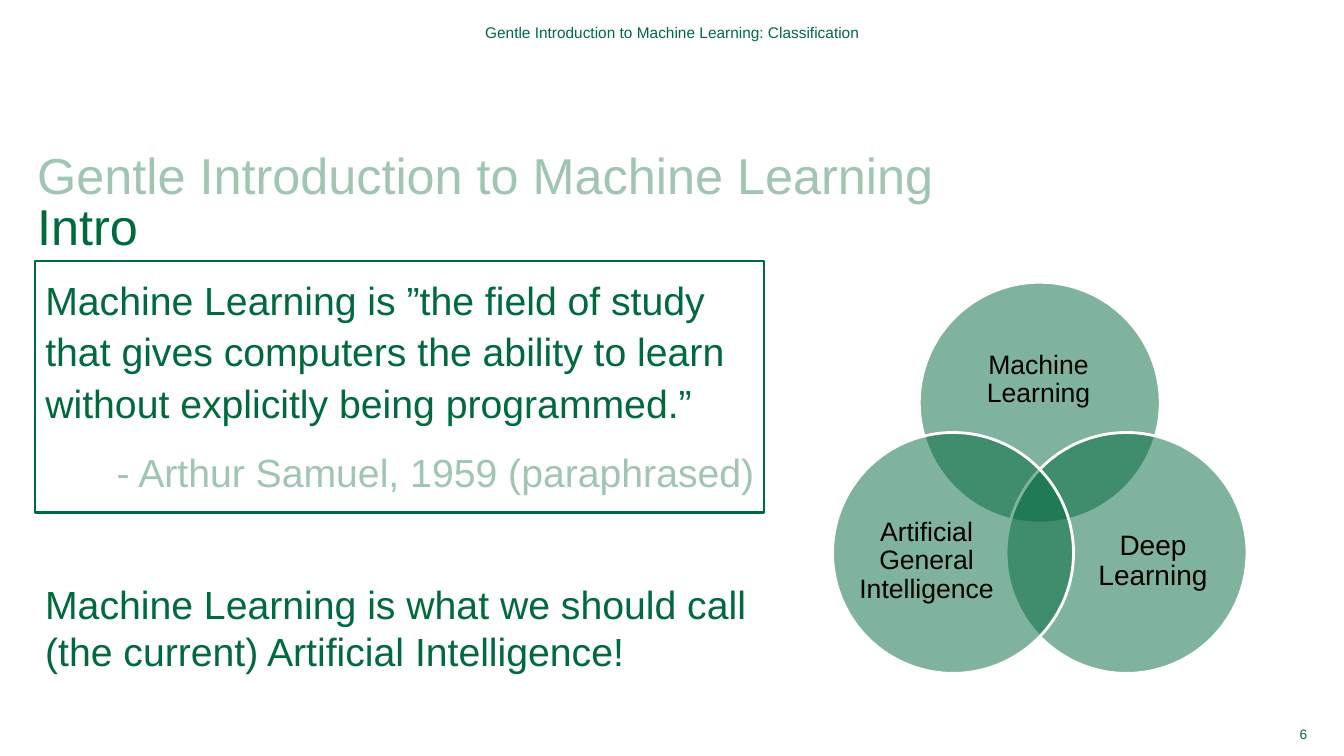
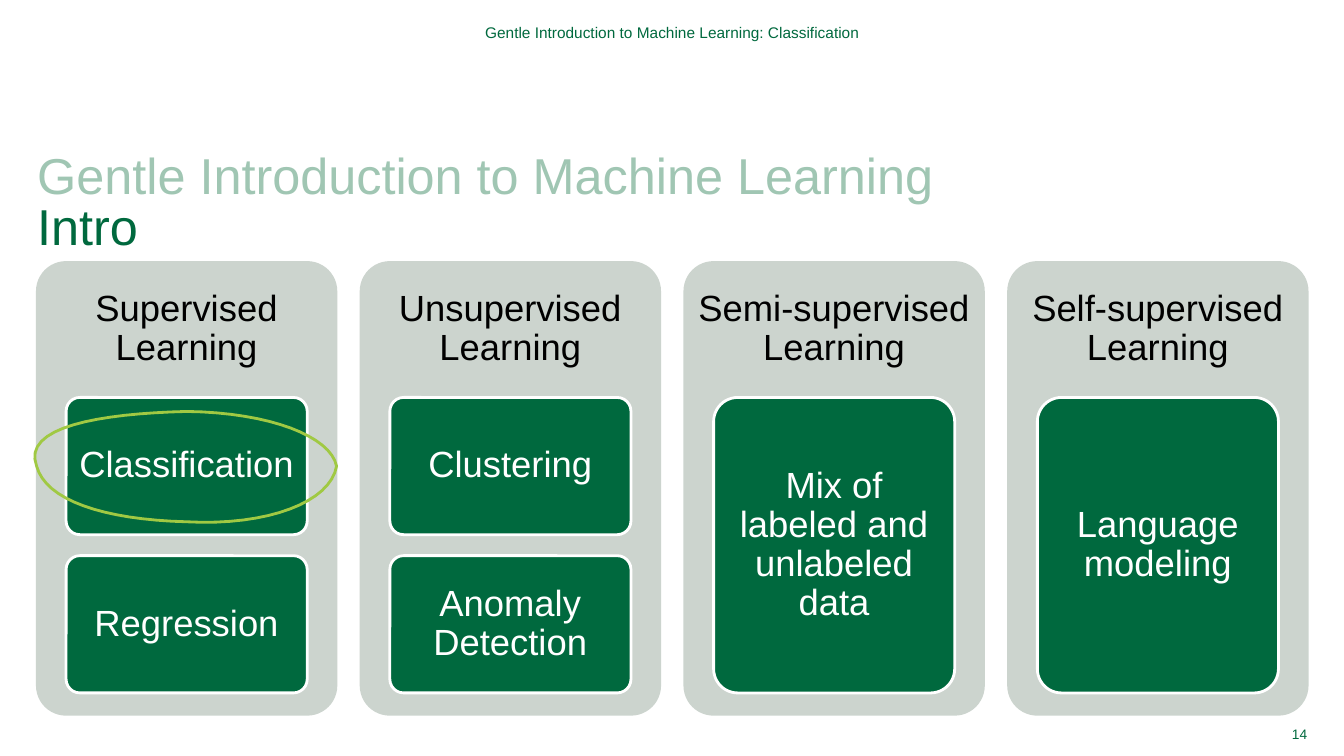
from dataclasses import dataclass
from math import sqrt

from lxml import etree
from pptx import Presentation
from pptx.dml.color import RGBColor
from pptx.enum.shapes import MSO_SHAPE
from pptx.enum.text import MSO_ANCHOR, MSO_AUTO_SIZE, PP_ALIGN
from pptx.oxml.ns import qn
from pptx.util import Pt

ELLIPSE, ROUNDED = MSO_SHAPE.OVAL, MSO_SHAPE.ROUNDED_RECTANGLE
TOP, MIDDLE = MSO_ANCHOR.TOP, MSO_ANCHOR.MIDDLE
LEFT, CENTER, RIGHT = PP_ALIGN.LEFT, PP_ALIGN.CENTER, PP_ALIGN.RIGHT
NO_AUTOFIT = MSO_AUTO_SIZE.NONE
TITLE_AND_CONTENT, TITLE_ONLY = 1, 5


@dataclass(frozen=True)
class Theme:
    font: str = "Arial"
    green: RGBColor = RGBColor(0x00, 0x69, 0x3E)
    pale_green: RGBColor = RGBColor(0xA0, 0xC6, 0xB3)
    lime: RGBColor = RGBColor(0xA0, 0xC9, 0x43)
    gray: RGBColor = RGBColor(0xCC, 0xD4, 0xCE)
    black: RGBColor = RGBColor(0, 0, 0)
    white: RGBColor = RGBColor(255, 255, 255)
    title_size: float = 36
    body_size: float = 28
    card_size: float = 26
    header_size: float = 11
    number_size: float = 9.8
    outline: float = 2


@dataclass(frozen=True)
class Box:
    left: float
    top: float
    width: float
    height: float

    def portion(self, left, top, width, height):
        """Return the box at the given fractions of this one."""
        return Box(self.left + left * self.width, self.top + top * self.height,
                   width * self.width, height * self.height)

    def lengths(self):
        return [Pt(value) for value in (self.left, self.top, self.width, self.height)]


THEME = Theme()
TITLE_BOX = Box(26.6, 109.4, 909.4, 72.7)
HEADER_BOX = Box(188, 14.4, 584.6, 17.3)
NUMBER_BOX = Box(892.8, 515.5, 41, 17.3)
QUOTE_BOX = Box(25.2, 186.5, 520.6, 179.6)
CLAIM_BOX = Box(25.2, 411.1, 520.6, 75)
VENN_BOX = Box(594.7, 201.6, 296, 279.4)
COLUMNS_BOX = Box(25.7, 186.5, 909, 324.7)
COLUMN_GAP = 16

HEADER = "Gentle Introduction to Machine Learning: Classification"
TITLE = ("Gentle Introduction to Machine Learning", "Intro")

# Circle offsets are shares of the diameter; label boxes are shares of the circle
CIRCLE_SPACING = 0.72
VENN = [
    ("Machine Learning", 19, (CIRCLE_SPACING / 2, 0), (0.13, 0.18, 0.73, 0.45)),
    ("Deep Learning", 20, (CIRCLE_SPACING, CIRCLE_SPACING * sqrt(3) / 2),
     (0.31, 0.26, 0.6, 0.55)),
    ("Artificial General Intelligence", 19, (0, CIRCLE_SPACING * sqrt(3) / 2),
     (0.09, 0.26, 0.6, 0.55)),
]
COLUMNS = [
    ("Supervised Learning", ["Classification", "Regression"]),
    ("Unsupervised Learning", ["Clustering", "Anomaly Detection"]),
    ("Semi-supervised Learning", ["Mix of labeled and unlabeled data"]),
    ("Self-supervised Learning", ["Language modeling"]),
]
# Bezier points of the hand-drawn ring, as shares of its box
RING = [(0, 0.5), (-0.05, 0.14), (0.21, 0.02), (0.5, 0), (0.78, 0.01),
        (0.98, 0.23), (1, 0.5), (0.98, 0.83), (0.77, 1.05), (0.5, 1.01),
        (0.22, 0.99), (0.03, 0.81), (0, 0.5)]


# Shared helpers
def place(shape, box):
    shape.left, shape.top, shape.width, shape.height = box.lengths()


def set_frame(frame, insets, anchor):
    frame.word_wrap = True
    frame.auto_size = NO_AUTOFIT
    frame.vertical_anchor = anchor
    (frame.margin_left, frame.margin_top,
     frame.margin_right, frame.margin_bottom) = [Pt(inset) for inset in insets]


def format_paragraph(paragraph, size, color, align=LEFT, spacing=1.0):
    paragraph.alignment = align
    paragraph.line_spacing = spacing
    paragraph.font.name = THEME.font
    paragraph.font.size = Pt(size)
    paragraph.font.color.rgb = color


def write(shape, text, size, color, align=CENTER, spacing=1.0,
          insets=(0, 0, 0, 0), anchor=MIDDLE):
    set_frame(shape.text_frame, insets, anchor)
    paragraph = shape.text_frame.paragraphs[0]
    paragraph.text = text
    format_paragraph(paragraph, size, color, align, spacing)


def add_label(slide, box, text, size, color, **layout):
    write(slide.shapes.add_textbox(*box.lengths()), text, size, color, **layout)


def add_filled(slide, kind, box, fill, line=None, opacity=None):
    shape = slide.shapes.add_shape(kind, *box.lengths())
    shape.shadow.inherit = False
    shape.fill.solid()
    shape.fill.fore_color.rgb = fill
    if opacity is not None:
        color = shape._element.spPr.find(".//" + qn("a:srgbClr"))
        etree.SubElement(color, qn("a:alpha"), val=str(opacity * 1000))
    if line is None:
        shape.line.fill.background()
    else:
        shape.line.color.rgb = line
        shape.line.width = Pt(THEME.outline)
    if kind == ROUNDED:
        shape.adjustments[0] = 0.1
    return shape


def start_slide(presentation, layout, number):
    """Add a slide with the title, running header and page number."""
    slide = presentation.slides.add_slide(presentation.slide_layouts[layout])
    title = slide.shapes.title
    place(title, TITLE_BOX)
    set_frame(title.text_frame, (0, 0, 0, 0), TOP)
    paragraph = title.text_frame.paragraphs[0]
    format_paragraph(paragraph, THEME.title_size, THEME.green, spacing=0.85)
    course = paragraph.add_run()
    course.text = TITLE[0]
    course.font.color.rgb = THEME.pale_green
    paragraph.add_line_break()
    paragraph.add_run().text = TITLE[1]
    add_label(slide, HEADER_BOX, HEADER, THEME.header_size, THEME.green)
    add_label(slide, NUMBER_BOX, str(number), THEME.number_size, THEME.green, align=RIGHT)
    return slide


# Regions
def fill_quote(body, box):
    place(body, box)
    body.line.color.rgb = THEME.green
    body.line.width = Pt(1.5)
    frame = body.text_frame
    set_frame(frame, (7.2, 7.2, 7.2, 0), TOP)
    quote, author = frame.paragraphs[0], frame.add_paragraph()
    quote.text = ("Machine Learning is ”the field of study that gives computers "
                  "the ability to learn without explicitly being programmed.”")
    author.text = "- Arthur Samuel, 1959 (paraphrased)"
    for paragraph, color, align, before in ((quote, THEME.green, LEFT, 0),
                                            (author, THEME.pale_green, RIGHT, 6)):
        properties = paragraph._p.get_or_add_pPr()
        properties.set("marL", "0")
        properties.set("indent", "0")
        etree.SubElement(properties, qn("a:buNone"))
        format_paragraph(paragraph, THEME.body_size, color, align, 1.1)
        paragraph.space_before = Pt(before)
        paragraph.space_after = Pt(6)


def add_venn(slide, box):
    diameter = box.width / (1 + CIRCLE_SPACING)
    for text, size, (across, down), label in VENN:
        circle = Box(box.left + across * diameter, box.top + down * diameter,
                     diameter, diameter)
        add_filled(slide, ELLIPSE, circle, THEME.green, THEME.white, opacity=50)
        add_label(slide, circle.portion(*label), text, size, THEME.black, spacing=0.9)


def add_column(slide, box, heading, cards):
    """Draw one column and return the boxes of its cards."""
    add_filled(slide, ROUNDED, box, THEME.gray)
    add_label(slide, box.portion(0, 0, 1, 0.3), heading, THEME.card_size, THEME.black,
              spacing=0.9, insets=(8, 8, 8, 8))
    stack = box.portion(0.1, 0.3, 0.8, 0.65)
    gap = 15
    height = (stack.height - gap * (len(cards) - 1)) / len(cards)
    card_boxes = []
    for index, text in enumerate(cards):
        card_box = Box(stack.left, stack.top + index * (height + gap), stack.width, height)
        card = add_filled(slide, ROUNDED, card_box, THEME.green, THEME.white)
        write(card, text, THEME.card_size, THEME.white, spacing=0.9,
              insets=(4.5, 3.6, 4.5, 3.6))
        card_boxes.append(card_box)
    return card_boxes


def add_ring(slide, box, steps=16):
    """Draw the hand-drawn ring as a finely sampled outline."""
    points = []
    for first in range(0, len(RING) - 1, 3):
        curve = RING[first:first + 4]
        for step in range(steps):
            t = step / steps
            weights = ((1 - t) ** 3, 3 * t * (1 - t) ** 2, 3 * t * t * (1 - t), t ** 3)
            x, y = (sum(weight * point[axis] for weight, point in zip(weights, curve))
                    for axis in (0, 1))
            points.append((Pt(box.left + x * box.width), Pt(box.top + y * box.height)))
    builder = slide.shapes.build_freeform(*points[0])
    builder.add_line_segments(points[1:], close=True)
    ring = builder.convert_to_shape()
    ring.shadow.inherit = False
    ring.fill.background()
    ring.line.color.rgb = THEME.lime
    ring.line.width = Pt(THEME.outline)


# Slides
def add_definition_slide(presentation):
    slide = start_slide(presentation, TITLE_AND_CONTENT, 6)
    fill_quote(slide.placeholders[1], QUOTE_BOX)
    add_label(slide, CLAIM_BOX,
              "Machine Learning is what we should call (the current) Artificial Intelligence!",
              THEME.body_size, THEME.green, align=LEFT,
              insets=(7.2, 3.6, 7.2, 3.6), anchor=TOP)
    add_venn(slide, VENN_BOX)


def add_types_slide(presentation):
    slide = start_slide(presentation, TITLE_ONLY, 14)
    area = COLUMNS_BOX
    width = (area.width - COLUMN_GAP * (len(COLUMNS) - 1)) / len(COLUMNS)
    first_cards = []
    for index, (heading, cards) in enumerate(COLUMNS):
        column = Box(area.left + index * (width + COLUMN_GAP), area.top, width, area.height)
        first_cards.append(add_column(slide, column, heading, cards)[0])
    # Ring around the first card of the first column
    card = first_cards[0]
    add_ring(slide, Box(area.left + 0.5, card.top + 10, width - 1, card.height - 20))


def main():
    presentation = Presentation()
    presentation.slide_width, presentation.slide_height = Pt(960), Pt(540)
    add_definition_slide(presentation)
    add_types_slide(presentation)
    presentation.save("out.pptx")


if __name__ == "__main__":
    main()
